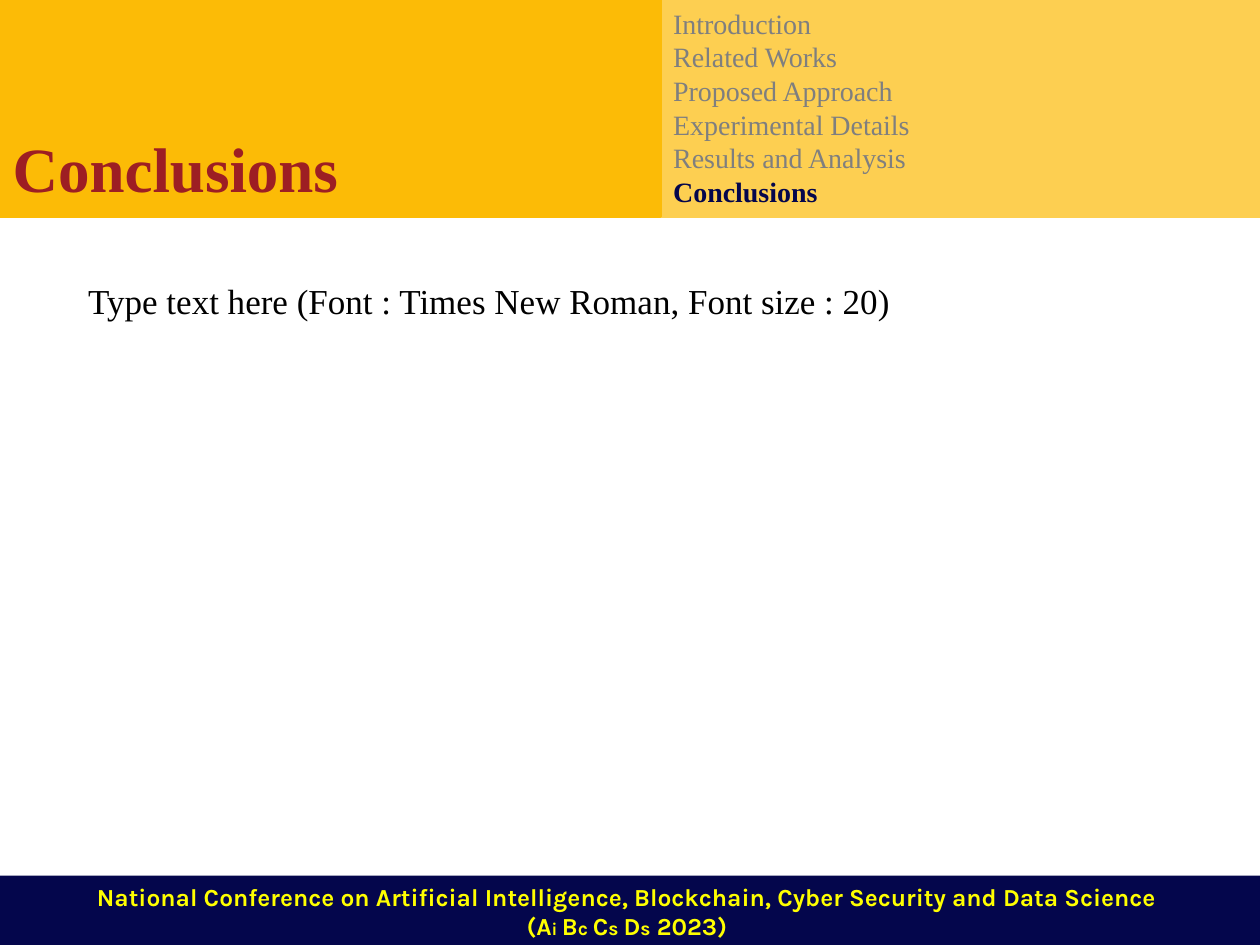
from lxml import etree
from pptx import Presentation
from pptx.dml.color import RGBColor
from pptx.enum.shapes import MSO_SHAPE
from pptx.enum.text import MSO_ANCHOR, MSO_AUTO_SIZE, PP_ALIGN
from pptx.oxml.ns import qn
from pptx.util import Pt

AMBER = RGBColor(0xFC, 0xBB, 0x06)
LIGHT_AMBER = RGBColor(0xFD, 0xCF, 0x51)
NAVY = RGBColor(0x04, 0x06, 0x4C)
MAROON = RGBColor(0x9D, 0x1E, 0x23)
GREY = RGBColor(0x7F, 0x7F, 0x7F)
BLACK = RGBColor(0, 0, 0)
YELLOW = RGBColor(0xFF, 0xFF, 0)
SERIF, SANS = "Times New Roman", "Karla"

SLIDE_WIDTH, SLIDE_HEIGHT = 720, 540
HEADER_HEIGHT = 123.8
TITLE_WIDTH = 377.5
SECTIONS = ["Introduction", "Related Works", "Proposed Approach",
            "Experimental Details", "Results and Analysis", "Conclusions"]
CURRENT_SECTION = "Conclusions"
CONFERENCE = ("National Conference on Artificial Intelligence, Blockchain, "
              "Cyber Security and Data Science ")
ACRONYM = [("(A", 14), ("i ", 10), ("B", 14), ("c ", 11), ("C", 14),
           ("s ", 11), ("D", 14), ("s", 11), (" 2023) ", 14)]


def add_band(slide, left, top, width, height, color, outlined=True):
    shape = slide.shapes.add_shape(
        MSO_SHAPE.RECTANGLE, Pt(left), Pt(top), Pt(width), Pt(height))
    shape.shadow.inherit = False
    shape.fill.solid()
    shape.fill.fore_color.rgb = color
    if outlined:
        shape.line.color.rgb = color
        shape.line.width = Pt(2)
    else:
        shape.line.fill.background()
    return shape


def format_font(font, name, size, color, bold=False):
    font.name, font.size, font.bold = name, Pt(size), bold
    font.color.rgb = color


def place_text(slide, placeholder, box, text, size, color, bold=False):
    """Bring a placeholder to the front, move it to box and fill it with plain lines."""
    slide.shapes.element.append(placeholder.element)
    placeholder.left, placeholder.top, placeholder.width, placeholder.height = map(Pt, box)
    text_frame = placeholder.text_frame
    text_frame.text = text
    text_frame.word_wrap = True
    text_frame.auto_size = MSO_AUTO_SIZE.NONE
    text_frame.vertical_anchor = MSO_ANCHOR.TOP
    for paragraph in text_frame.paragraphs:
        paragraph.alignment = PP_ALIGN.LEFT
        paragraph.space_before = Pt(0)
        properties = paragraph._p.get_or_add_pPr()
        properties.set("marL", "0")
        properties.set("indent", "0")
        etree.SubElement(properties, qn("a:buNone"))
        for run in paragraph.runs:
            format_font(run.font, SERIF, size, color, bold)


def add_header(slide, left, top, width, height):
    title, agenda = slide.shapes.title, slide.placeholders[1]
    agenda_left = left + TITLE_WIDTH
    add_band(slide, agenda_left, top, width - TITLE_WIDTH, height, LIGHT_AMBER)
    add_band(slide, left, top, TITLE_WIDTH, height, AMBER)
    place_text(slide, agenda, (agenda_left, top, 264, height - 1.4),
               "\n".join(SECTIONS), 16, GREY)
    for paragraph in agenda.text_frame.paragraphs:
        if paragraph.text == CURRENT_SECTION:
            format_font(paragraph.runs[0].font, SERIF, 16, NAVY, True)
    place_text(slide, title, (left, top + 70.6, TITLE_WIDTH, 50.4),
               CURRENT_SECTION, 36, MAROON, True)


def add_body(slide, left, top, width, height):
    place_text(slide, slide.placeholders[2], (left, top, width, height),
               "Type text here (Font : Times New Roman, Font size : 20)", 20, BLACK)


def add_footer(slide, left, top, width, height):
    band = add_band(slide, left, top, width, height, NAVY, outlined=False)
    text_frame = band.text_frame
    text_frame.word_wrap = True
    text_frame.vertical_anchor = MSO_ANCHOR.TOP
    lines = [[(CONFERENCE, 14)], ACRONYM]
    for index, line in enumerate(lines):
        paragraph = text_frame.add_paragraph() if index else text_frame.paragraphs[0]
        paragraph.alignment = PP_ALIGN.CENTER
        for text, size in line:
            run = paragraph.add_run()
            run.text = text
            format_font(run.font, SANS, size, YELLOW, True)


def main():
    presentation = Presentation()
    presentation.slide_width = Pt(SLIDE_WIDTH)
    presentation.slide_height = Pt(SLIDE_HEIGHT)
    two_content = presentation.slide_layouts[3]
    slide = presentation.slides.add_slide(two_content)
    add_header(slide, 0, 0, SLIDE_WIDTH, HEADER_HEIGHT)
    add_body(slide, 43.2, 156.2, 475.2, 31.7)
    add_footer(slide, 0, 500.4, SLIDE_WIDTH, 41)
    presentation.save("out.pptx")


if __name__ == "__main__":
    main()
